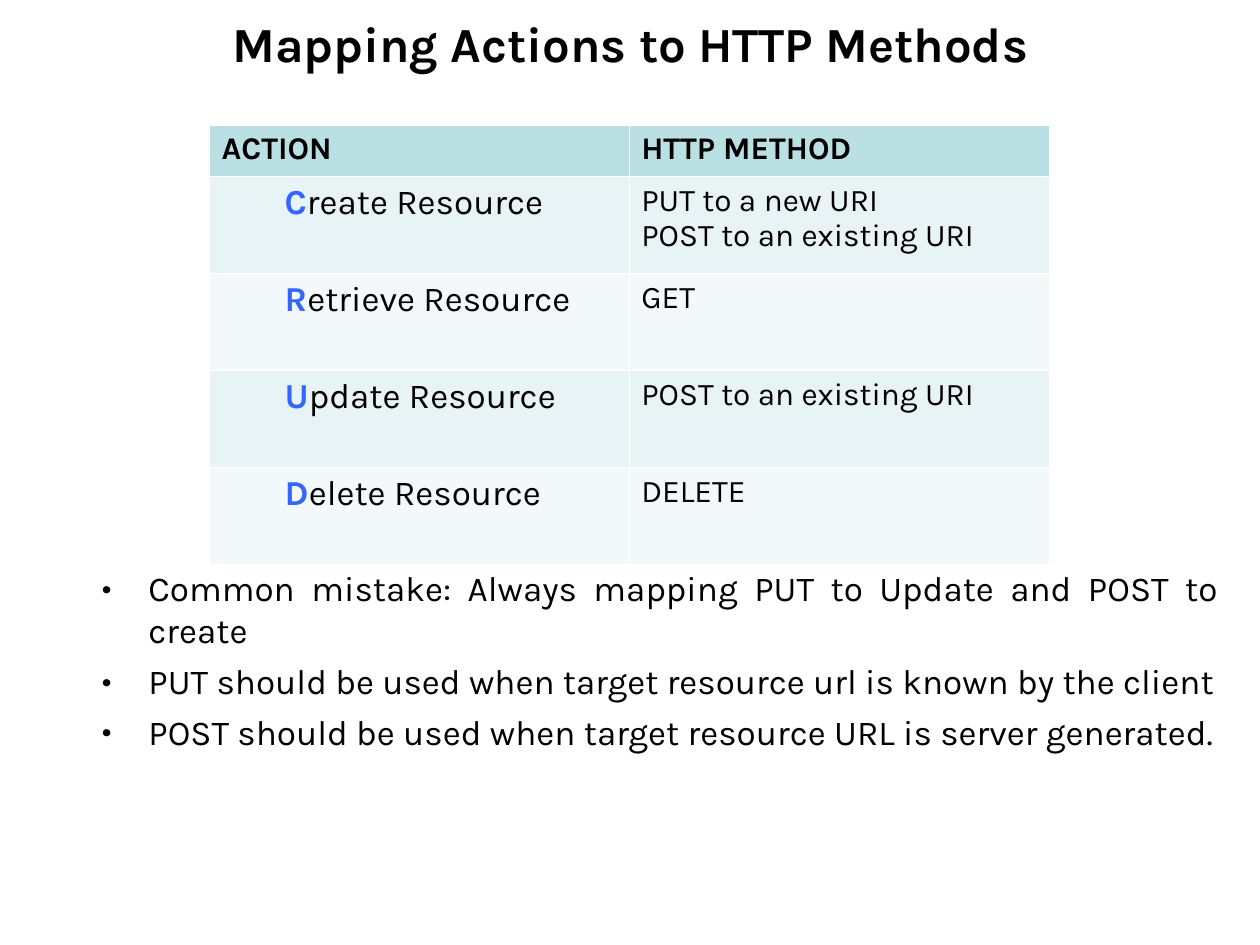
import pptx
import pptx.dml.color
import pptx.enum.text
import pptx.oxml.ns
import pptx.util
from lxml import etree

Inches = pptx.util.Inches
Pt = pptx.util.Pt
RGBColor = pptx.dml.color.RGBColor
PP_ALIGN = pptx.enum.text.PP_ALIGN
MSO_ANCHOR = pptx.enum.text.MSO_ANCHOR
qn = pptx.oxml.ns.qn

FONT = "Karla"
BLACK = RGBColor(0x00, 0x00, 0x00)
WHITE = RGBColor(0xFF, 0xFF, 0xFF)
BLUE = RGBColor(0x33, 0x66, 0xFF)
HEADER_FILL = RGBColor(0xBB, 0xE0, 0xE3)
BAND_FILLS = (RGBColor(0xE7, 0xF3, 0xF4), RGBColor(0xF3, 0xF9, 0xFA))

TITLE = "Mapping Actions to HTTP Methods"
HEADERS = ("ACTION", "HTTP METHOD")
MAPPINGS = [
    ("Create Resource", ["PUT to a new URI", "POST to an existing URI"]),
    ("Retrieve Resource", ["GET"]),
    ("Update Resource", ["POST to an existing URI"]),
    ("Delete Resource", ["DELETE"]),
]
BULLETS = [
    "Common mistake: Always mapping PUT to Update and POST to create",
    "PUT should be used when target resource url is known by the client",
    "POST should be used when target resource URL is server generated.",
]
COLUMN_WIDTHS = (3.33, 3.34)
HEADER_HEIGHT = 0.41
ROW_HEIGHT = 0.77
THIN_LINE = 0.11
HEADER_LINE = 0.34
BULLET_INDENT = 0.37


def add_run(paragraph, text, size, color=BLACK, bold=False):
    run = paragraph.add_run()
    run.text = text
    run.font.name = FONT
    run.font.size = Pt(size)
    run.font.bold = bold
    run.font.color.rgb = color


def style_cell(cell, fill, top, bottom):
    properties = cell._tc.get_or_add_tcPr()
    for side, width in (("L", THIN_LINE), ("R", THIN_LINE), ("T", top), ("B", bottom)):
        line = etree.SubElement(properties, qn(f"a:ln{side}"), w=str(Pt(width)))
        line_fill = etree.SubElement(line, qn("a:solidFill"))
        etree.SubElement(line_fill, qn("a:srgbClr"), val=str(WHITE))
    cell.fill.solid()
    cell.fill.fore_color.rgb = fill


def add_cell_paragraph(cell, index):
    frame = cell.text_frame
    paragraph = frame.add_paragraph() if index else frame.paragraphs[0]
    paragraph.line_spacing = 0.96
    return paragraph


def add_title(slide):
    title = slide.shapes.title
    title.left, title.top = Inches(0), Inches(0)
    title.width, title.height = Inches(10), Inches(0.68)
    frame = title.text_frame
    frame.word_wrap = True
    frame.auto_size = pptx.enum.text.MSO_AUTO_SIZE.NONE
    frame.vertical_anchor = MSO_ANCHOR.MIDDLE
    paragraph = frame.paragraphs[0]
    paragraph.alignment = PP_ALIGN.CENTER
    add_run(paragraph, TITLE, 28, bold=True)


def add_mapping_table(slide):
    height = HEADER_HEIGHT + ROW_HEIGHT * len(MAPPINGS)
    table = slide.shapes.add_table(
        len(MAPPINGS) + 1, len(HEADERS), Inches(1.66), Inches(0.99),
        Inches(sum(COLUMN_WIDTHS)), Inches(height)).table
    for column, width in zip(table.columns, COLUMN_WIDTHS):
        column.width = Inches(width)
    for index, row in enumerate(table.rows):
        row.height = Inches(ROW_HEIGHT if index else HEADER_HEIGHT)

    for column, header in enumerate(HEADERS):
        cell = table.cell(0, column)
        style_cell(cell, HEADER_FILL, THIN_LINE, HEADER_LINE)
        add_run(add_cell_paragraph(cell, 0), header, 18, bold=True)

    for row, (action, methods) in enumerate(MAPPINGS, start=1):
        action_cell, method_cell = table.cell(row, 0), table.cell(row, 1)
        top = HEADER_LINE if row == 1 else THIN_LINE
        for cell in (action_cell, method_cell):
            style_cell(cell, BAND_FILLS[(row - 1) % 2], top, THIN_LINE)
        paragraph = add_cell_paragraph(action_cell, 0)
        paragraph.level = 1
        add_run(paragraph, action[0], 20, BLUE, bold=True)
        add_run(paragraph, action[1:], 20)
        for index, method in enumerate(methods):
            add_run(add_cell_paragraph(method_cell, index), method, 18)


def add_bullets(slide):
    box = slide.shapes.add_textbox(Inches(0.71), Inches(4.45), Inches(9.06), Inches(2.24))
    frame = box.text_frame
    frame.word_wrap = True
    for index, text in enumerate(BULLETS):
        paragraph = frame.add_paragraph() if index else frame.paragraphs[0]
        paragraph.alignment = PP_ALIGN.JUSTIFY
        if index:
            paragraph.space_before = Pt(5)
        properties = paragraph._p.get_or_add_pPr()
        properties.set("marL", str(Inches(BULLET_INDENT)))
        properties.set("indent", str(-Inches(BULLET_INDENT)))
        bullet_color = etree.SubElement(properties, qn("a:buClr"))
        etree.SubElement(bullet_color, qn("a:srgbClr"), val=str(BLACK))
        etree.SubElement(properties, qn("a:buFont"), typeface=FONT)
        etree.SubElement(properties, qn("a:buChar"), char="•")
        add_run(paragraph, text, 20)


def main():
    presentation = pptx.Presentation()
    presentation.slide_width = Inches(10)
    presentation.slide_height = Inches(7.5)
    slide = presentation.slides.add_slide(presentation.slide_layouts[5])
    add_title(slide)
    add_mapping_table(slide)
    add_bullets(slide)
    presentation.save("out.pptx")


if __name__ == "__main__":
    main()
